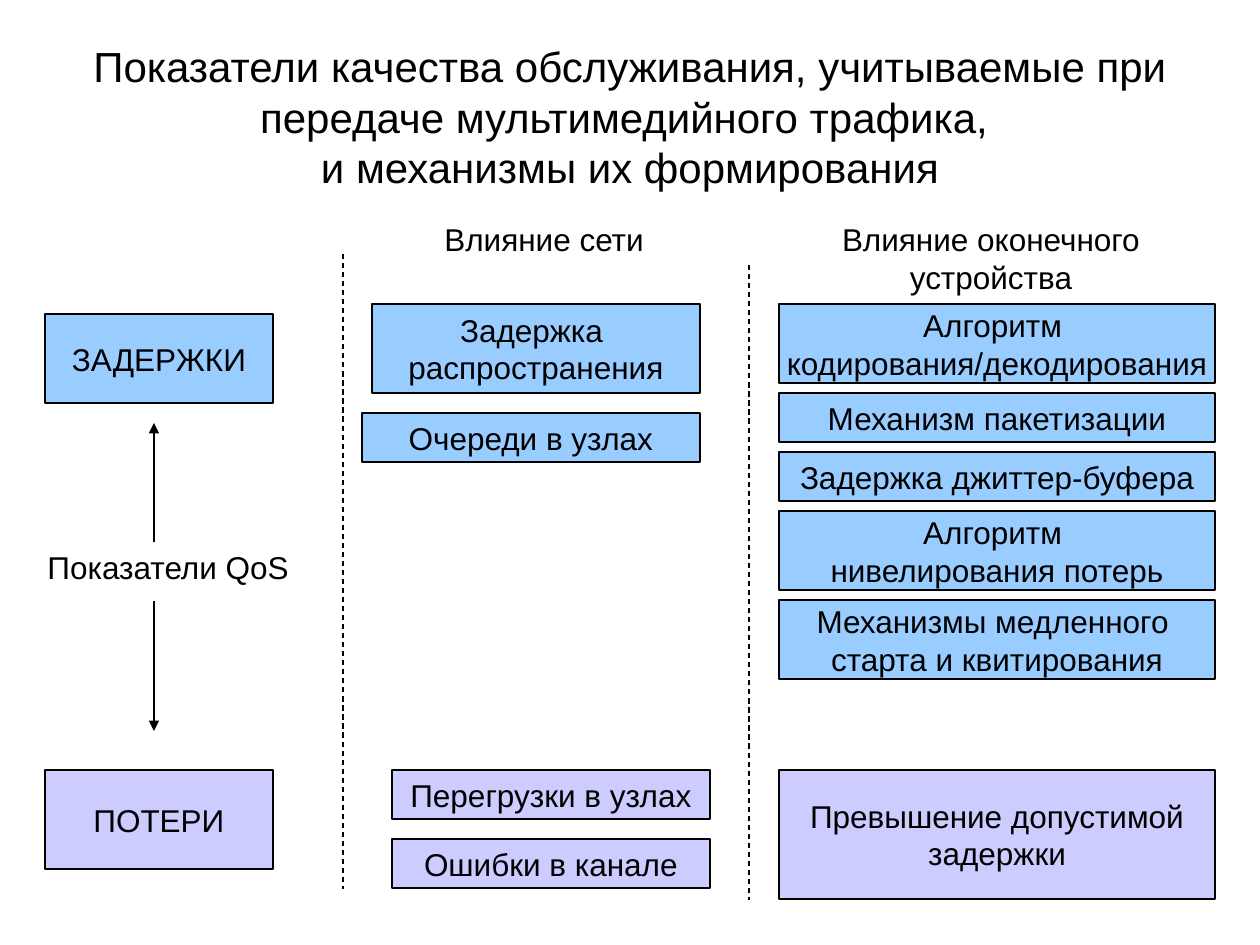
"""Build a slide on service quality indicators for multimedia traffic."""
from lxml import etree
from pptx import Presentation
from pptx.dml.color import RGBColor
from pptx.enum.dml import MSO_LINE
from pptx.enum.shapes import MSO_CONNECTOR, MSO_SHAPE
from pptx.enum.text import MSO_ANCHOR, MSO_AUTO_SIZE, PP_ALIGN
from pptx.oxml.ns import qn
from pptx.util import Emu, Pt

DASH = MSO_LINE.DASH
STRAIGHT = MSO_CONNECTOR.STRAIGHT
RECTANGLE = MSO_SHAPE.RECTANGLE
MIDDLE, TOP = MSO_ANCHOR.MIDDLE, MSO_ANCHOR.TOP
NO_FIT, FIT_SHAPE = MSO_AUTO_SIZE.NONE, MSO_AUTO_SIZE.SHAPE_TO_FIT_TEXT
LEFT, CENTER = PP_ALIGN.LEFT, PP_ALIGN.CENTER

BLACK = RGBColor(0x00, 0x00, 0x00)
DELAY_BLUE = RGBColor(0x99, 0xCC, 0xFF)
LOSS_LILAC = RGBColor(0xCC, 0xCC, 0xFF)

FONT = "Arial"
PX_PER_INCH = 126
TITLE = ("Показатели качества обслуживания, учитываемые при передаче "
         "мультимедийного трафика, \vи механизмы их формирования")

FACTORS = [
    (45, 314, 228, 89, DELAY_BLUE, "ЗАДЕРЖКИ"),
    (45, 770, 228, 99, LOSS_LILAC, "ПОТЕРИ"),
    (372, 304, 328, 89, DELAY_BLUE, "Задержка \nраспространения"),
    (362, 413, 338, 49, DELAY_BLUE, "Очереди в узлах"),
    (392, 770, 318, 49, LOSS_LILAC, "Перегрузки в узлах"),
    (392, 839, 318, 49, LOSS_LILAC, "Ошибки в канале"),
    (779, 770, 436, 129, LOSS_LILAC, "Превышение допустимой\nзадержки"),
]
DEVICE_DELAYS = [
    "Алгоритм \nкодирования/декодирования",
    "Механизм пакетизации",
    "Задержка джиттер-буфера",
    "Алгоритм \nнивелирования потерь",
    "Механизмы медленного \nстарта и квитирования",
]
LABELS = [
    (432, 214, 226, 50, LEFT, "Влияние сети"),
    (829, 214, 324, 88, CENTER, "Влияние оконечного\nустройства"),
    (35, 542, 268, 50, LEFT, "Показатели QoS"),
]
DIVIDERS = [(343, 254, 889), (749, 265, 900)]
ARROWS = [(154, 601, 731), (154, 542, 423)]


def px(*lengths):
    """Turn pixel lengths into EMU."""
    return [Emu(round(length * 914400 / PX_PER_INCH)) for length in lengths]


def write(frame, text, size, align, anchor, fit, wrap=False):
    """Fill a text frame with evenly formatted paragraphs."""
    frame.text = text
    frame.word_wrap = wrap
    frame.auto_size = fit
    frame.vertical_anchor = anchor
    for paragraph in frame.paragraphs:
        paragraph.alignment = align
        paragraph.font.name = FONT
        paragraph.font.size = Pt(size)
        paragraph.font.color.rgb = BLACK


def add_title(slide):
    """Place and format the slide title."""
    title = slide.shapes.title
    title.left, title.top, title.width, title.height = px(63, 38, 1134, 157)
    write(title.text_frame, TITLE, 24, CENTER, MIDDLE, NO_FIT, wrap=True)


def add_factor(slide, left, top, width, height, color, text):
    """Add an outlined box naming one factor."""
    box = slide.shapes.add_shape(RECTANGLE, *px(left, top, width, height))
    box.shadow.inherit = False
    box.fill.solid()
    box.fill.fore_color.rgb = color
    box.line.color.rgb = BLACK
    box.line.width = Pt(0.75)
    write(box.text_frame, text, 18, CENTER, MIDDLE, NO_FIT)


def add_device_delays(slide):
    """Stack the delay factors of the terminal device."""
    top = 304
    for text in DEVICE_DELAYS:
        height = 79 if "\n" in text else 49
        add_factor(slide, 779, top, 436, height, DELAY_BLUE, text)
        top += height + 10


def add_label(slide, left, top, width, height, align, text):
    """Add a free-standing caption."""
    label = slide.shapes.add_textbox(*px(left, top, width, height))
    write(label.text_frame, text, 18, align, TOP, FIT_SHAPE)


def add_vertical(slide, x, start, end):
    """Add a thin vertical line and return it."""
    line = slide.shapes.add_connector(STRAIGHT, *px(x, start, x, end))
    line.line.color.rgb = BLACK
    line.line.width = Pt(0.75)
    etree.SubElement(line._element.spPr, qn("a:effectLst"))
    return line


def add_divider(slide, x, start, end):
    """Add a dashed line between columns."""
    add_vertical(slide, x, start, end).line.dash_style = DASH


def add_arrow(slide, x, start, end):
    """Add a vertical arrow pointing at its end."""
    arrow = add_vertical(slide, x, start, end)
    outline = arrow._element.spPr.find(qn("a:ln"))
    etree.SubElement(outline, qn("a:tailEnd"), type="triangle")


def main():
    """Build and save the slide."""
    deck = Presentation()
    deck.slide_width, deck.slide_height = px(1260, 945)
    slide = deck.slides.add_slide(deck.slide_layouts[5])
    add_title(slide)
    for factor in FACTORS:
        add_factor(slide, *factor)
    add_device_delays(slide)
    for label in LABELS:
        add_label(slide, *label)
    for divider in DIVIDERS:
        add_divider(slide, *divider)
    for arrow in ARROWS:
        add_arrow(slide, *arrow)
    deck.save("out.pptx")


if __name__ == "__main__":
    main()
